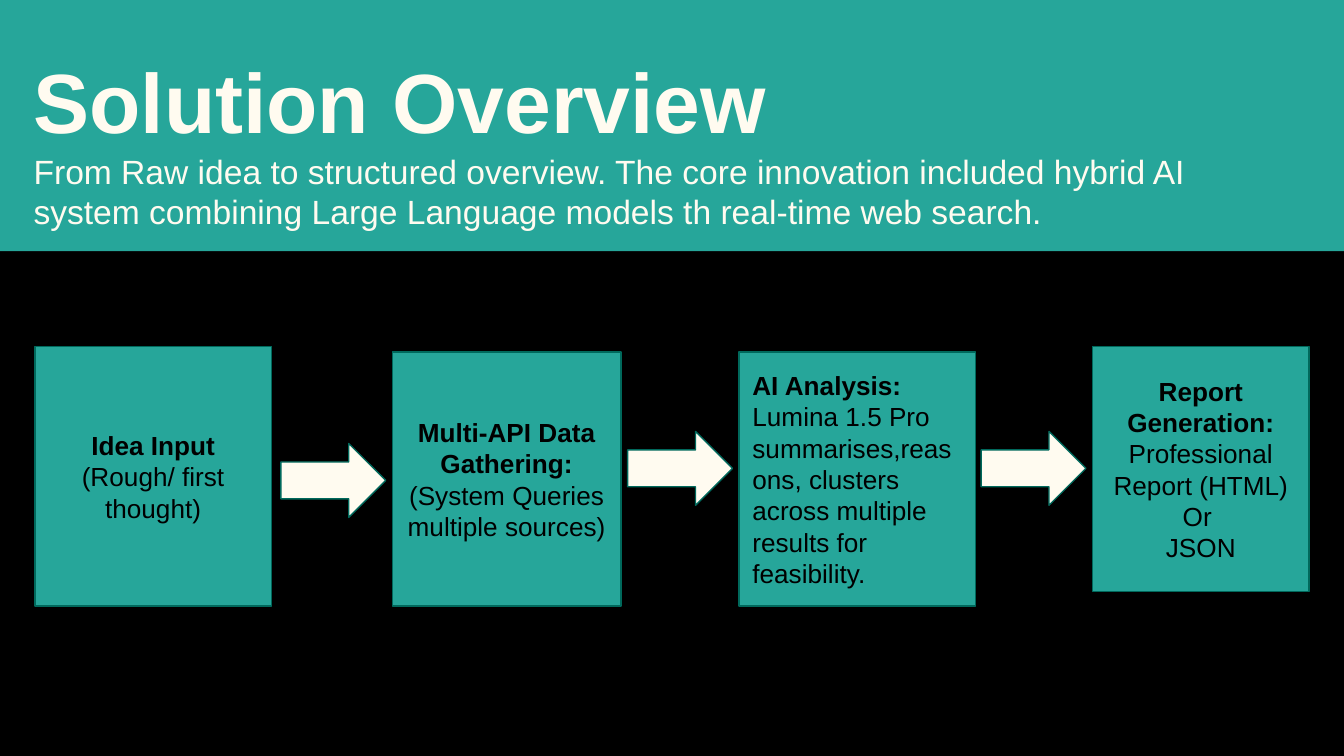
from dataclasses import dataclass
from typing import NamedTuple

from pptx import Presentation
from pptx.dml.color import RGBColor
from pptx.enum.shapes import MSO_SHAPE
from pptx.enum.text import MSO_ANCHOR, MSO_AUTO_SIZE, PP_ALIGN
from pptx.util import Inches, Pt

RECT, ARROW = MSO_SHAPE.RECTANGLE, MSO_SHAPE.RIGHT_ARROW
LEFT, CENTER = PP_ALIGN.LEFT, PP_ALIGN.CENTER
MIDDLE, BOTTOM = MSO_ANCHOR.MIDDLE, MSO_ANCHOR.BOTTOM
NO_FIT = MSO_AUTO_SIZE.NONE


@dataclass(frozen=True)
class Theme:
    font: str = "Arial"
    black: RGBColor = RGBColor(0x00, 0x00, 0x00)
    teal: RGBColor = RGBColor(0x26, 0xA6, 0x9A)
    dark_teal: RGBColor = RGBColor(0x00, 0x69, 0x5C)
    cream: RGBColor = RGBColor(0xFF, 0xFB, 0xF0)
    title_size: float = 45
    subtitle_size: float = 18
    body_size: float = 14
    outline: float = 0.75
    inset: float = 0.1


THEME = Theme()


class Box(NamedTuple):
    left: float
    top: float
    width: float
    height: float


class Run(NamedTuple):
    text: str
    bold: bool = False
    size: float = THEME.body_size


@dataclass(frozen=True)
class Step:
    box: Box
    paragraphs: list[list[Run]]
    align: PP_ALIGN = CENTER


TITLE = [
    [Run("Solution Overview", True, THEME.title_size)],
    [Run("From Raw idea to structured overview. The core innovation included "
         "hybrid AI system combining Large Language models th real-time web "
         "search.", size=THEME.subtitle_size)],
]
STEPS = [
    Step(Box(0.26, 2.58, 1.76, 1.93),
         [[Run("Idea Input ", True), Run("(Rough/ first thought)")]]),
    Step(Box(2.92, 2.62, 1.7, 1.89),
         [[Run("Multi-API Data Gathering:", True)],
          [Run("(System Queries multiple sources) ")]]),
    Step(Box(5.5, 2.62, 1.76, 1.89),
         [[Run("AI Analysis: ", True),
           Run("Lumina 1.5 Pro summarises,reasons, clusters across multiple "
               "results for feasibility.")]], LEFT),
    Step(Box(8.13, 2.58, 1.61, 1.82),
         [[Run("Report Generation: ", True), Run("Professional Report (HTML)")],
          [Run("Or ")], [Run("JSON")]]),
]
ARROW_TOPS = [3.3, 3.21, 3.21]
ARROW_WIDTH, ARROW_HEIGHT, ARROW_GAP = 0.78, 0.55, 0.05


def write_text(tf, paragraphs: list[list[Run]], *, color: RGBColor,
               align: PP_ALIGN, anchor: MSO_ANCHOR) -> None:
    """Fill a text frame with formatted paragraphs."""
    tf.word_wrap = True
    tf.auto_size = NO_FIT
    tf.vertical_anchor = anchor
    tf.margin_left = tf.margin_right = Inches(THEME.inset)
    tf.margin_top = tf.margin_bottom = Inches(THEME.inset)
    for i, runs in enumerate(paragraphs):
        p = tf.paragraphs[0] if i == 0 else tf.add_paragraph()
        p.alignment = align
        for run in runs:
            r = p.add_run()
            r.text = run.text
            r.font.name = THEME.font
            r.font.size = Pt(run.size)
            r.font.bold = run.bold
            r.font.color.rgb = color


def add_block(s, kind: MSO_SHAPE, box: Box, fill: RGBColor,
              line: RGBColor | None = None):
    """Add a flat preset shape, outlined when a line colour is given."""
    sp = s.shapes.add_shape(kind, *map(Inches, box))
    sp.shadow.inherit = False
    sp.fill.solid()
    sp.fill.fore_color.rgb = fill
    if line is None:
        sp.line.fill.background()
    else:
        sp.line.color.rgb = line
        sp.line.width = Pt(THEME.outline)
    return sp


def add_step(s, step: Step) -> None:
    """Draw one process step with its text."""
    sp = add_block(s, RECT, step.box, THEME.teal, THEME.dark_teal)
    write_text(sp.text_frame, step.paragraphs, color=THEME.black,
               align=step.align, anchor=MIDDLE)


def add_title(s) -> None:
    """Place the title over the header band."""
    title = s.shapes.title
    title.left, title.top, title.width, title.height = map(
        Inches, Box(0.15, 0.49, 9.29, 1.33))
    write_text(title.text_frame, TITLE, color=THEME.cream,
               align=LEFT, anchor=BOTTOM)
    band = add_block(s, RECT, Box(0, 0, 10, 1.87), THEME.teal)
    title.element.addprevious(band.element)


def main() -> None:
    prs = Presentation()
    prs.slide_width = Inches(10)
    prs.slide_height = prs.slide_width * 9 // 16
    s = prs.slides.add_slide(prs.slide_layouts[5])
    s.background.fill.solid()
    s.background.fill.fore_color.rgb = THEME.black

    # Header
    add_title(s)

    # Arrows, each ending just before the next step
    for step, top in zip(STEPS[1:], ARROW_TOPS):
        left = step.box.left - ARROW_GAP - ARROW_WIDTH
        add_block(s, ARROW, Box(left, top, ARROW_WIDTH, ARROW_HEIGHT),
                  THEME.cream, THEME.dark_teal)

    # Process steps
    for step in STEPS:
        add_step(s, step)

    prs.save("out.pptx")


if __name__ == "__main__":
    main()
